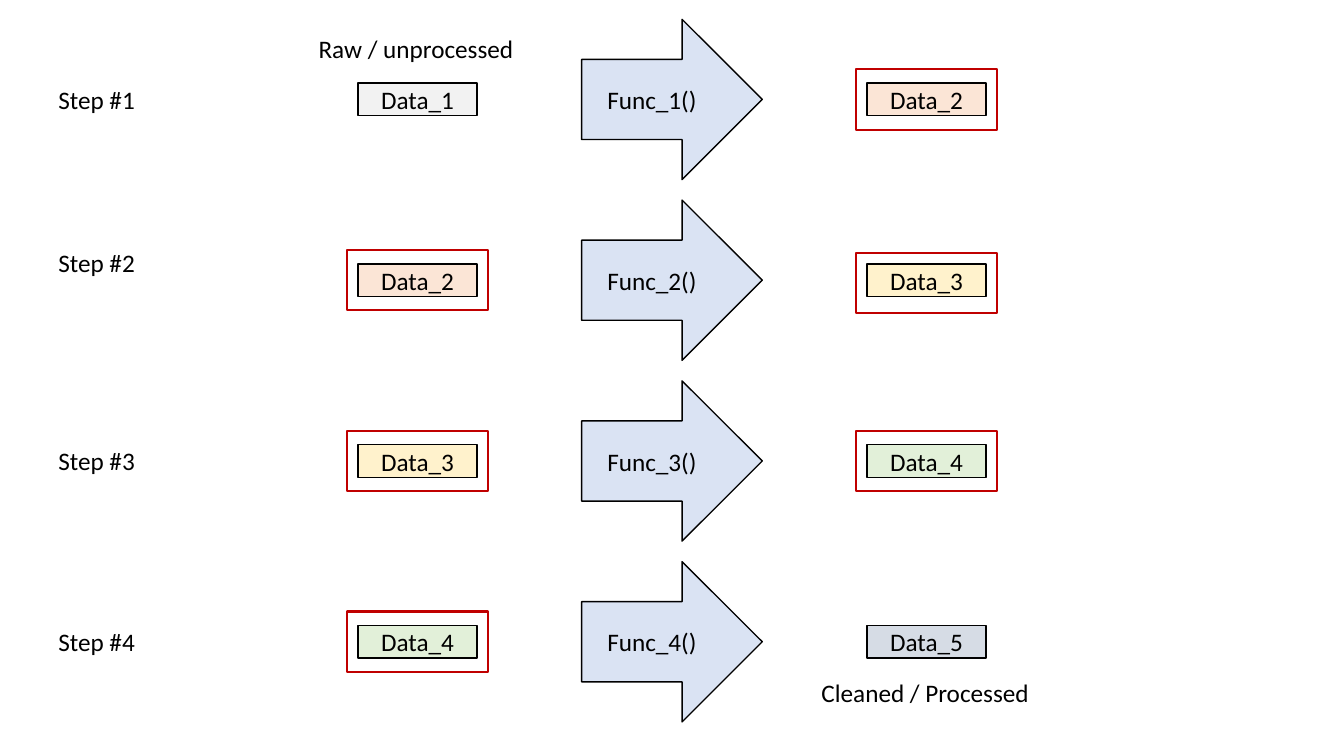
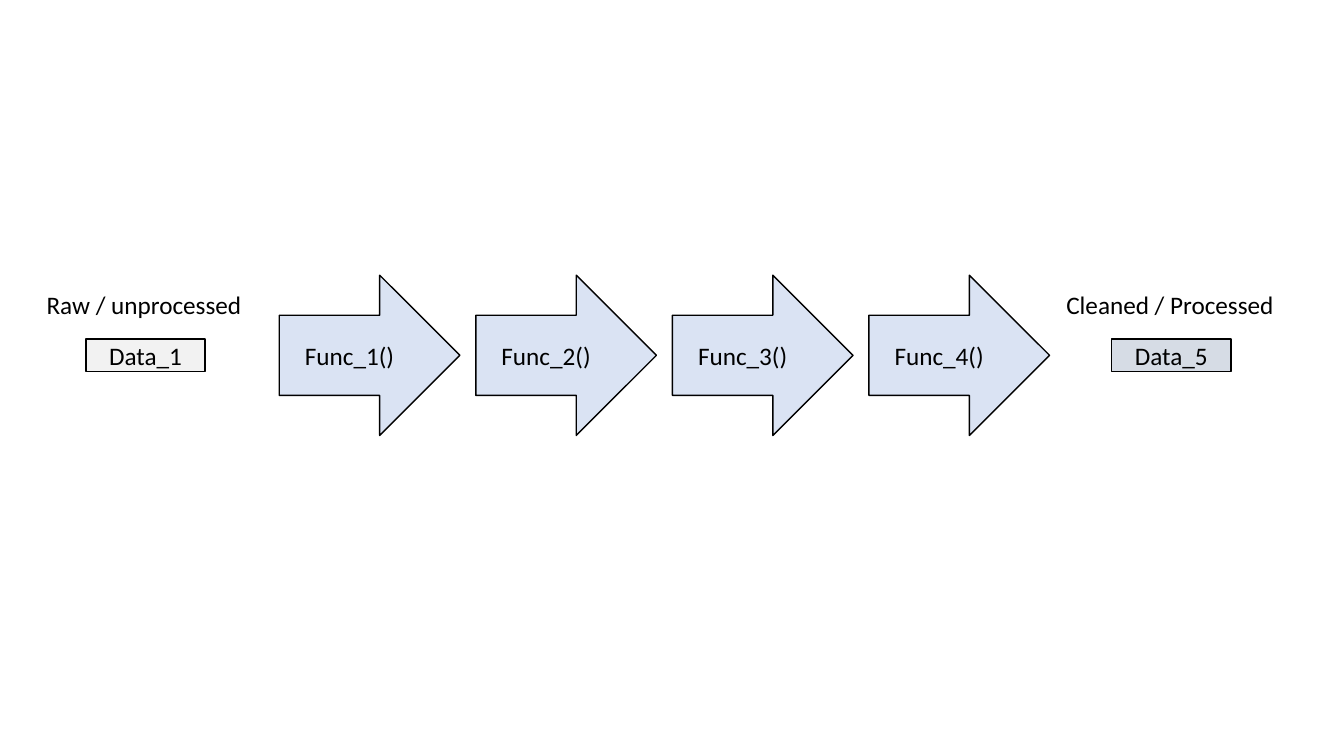
import dataclasses
import typing

import pptx
import pptx.dml.color
import pptx.enum.shapes
import pptx.enum.text
import pptx.shapes.autoshape
import pptx.shapes.shapetree
import pptx.slide
import pptx.util

RGBColor = pptx.dml.color.RGBColor
BLACK = RGBColor(0x00, 0x00, 0x00)
FRAME_RED = RGBColor(0xC0, 0x00, 0x00)
ARROW_BLUE = RGBColor(0xDA, 0xE3, 0xF3)
DATA_COLORS = (
    RGBColor(0xF2, 0xF2, 0xF2),
    RGBColor(0xFB, 0xE5, 0xD6),
    RGBColor(0xFF, 0xF2, 0xCC),
    RGBColor(0xE2, 0xF0, 0xD9),
    RGBColor(0xD6, 0xDC, 0xE5),
)

SLIDE_WIDTH = pptx.util.Inches(13.33)
SLIDE_HEIGHT = pptx.util.Inches(7.5)
GRID_COLUMNS = 80
GRID_ROWS = 45
FONT_NAME = "Calibri"
FONT_SIZE = pptx.util.Pt(18)
STEP_COUNT = 4
CAPTION_GAP = 3.03

Shapes = typing.Union[
    pptx.shapes.shapetree.SlideShapes, pptx.shapes.shapetree.GroupShapes
]


@dataclasses.dataclass(frozen=True)
class Size:
    columns: float
    rows: float


@dataclasses.dataclass(frozen=True)
class Center:
    column: float
    row: float

    def lowered(self, rows: float) -> "Center":
        return Center(self.column, self.row + rows)


@dataclasses.dataclass(frozen=True)
class Caption:
    text: str
    size: Size


@dataclasses.dataclass(frozen=True)
class Step:
    number: int
    label_shift: float = 0
    output_frame_shift: float = 0


DATA_SIZE = Size(7.1, 1.94)
ARROW_SIZE = Size(10.75, 9.54)
FRAME_SIZE = Size(8.4, 3.6)
LABEL_SIZE = Size(5.82, 2.42)
RAW_CAPTION = Caption("Raw / unprocessed", Size(12.96, 2.42))
CLEANED_CAPTION = Caption("Cleaned / Processed", Size(13.68, 2.42))

STEPS = (
    Step(1),
    Step(2, label_shift=-1.02, output_frame_shift=0.18),
    Step(3),
    Step(STEP_COUNT),
)


def grid_box(center: Center, size: Size) -> tuple[int, int, int, int]:
    column_width = SLIDE_WIDTH / GRID_COLUMNS
    row_height = SLIDE_HEIGHT / GRID_ROWS
    return (
        round((center.column - size.columns / 2) * column_width),
        round((center.row - size.rows / 2) * row_height),
        round(size.columns * column_width),
        round(size.rows * row_height),
    )


def write_text(
    text_frame: pptx.text.text.TextFrame,
    text: str,
    alignment: pptx.enum.text.PP_ALIGN,
) -> None:
    text_frame.text = text
    paragraph = text_frame.paragraphs[0]
    paragraph.alignment = alignment
    font = paragraph.runs[0].font
    font.name = FONT_NAME
    font.size = FONT_SIZE
    font.color.rgb = BLACK


def add_outlined(
    shapes: Shapes,
    kind: pptx.enum.shapes.MSO_SHAPE,
    center: Center,
    size: Size,
    line_color: RGBColor,
    line_points: float,
) -> pptx.shapes.autoshape.Shape:
    shape = shapes.add_shape(kind, *grid_box(center, size))
    shape.shadow.inherit = False
    shape.fill.background()
    shape.line.color.rgb = line_color
    shape.line.width = pptx.util.Pt(line_points)
    return shape


def add_block(
    shapes: Shapes,
    kind: pptx.enum.shapes.MSO_SHAPE,
    center: Center,
    size: Size,
    fill_color: RGBColor,
    text: str,
) -> None:
    shape = add_outlined(shapes, kind, center, size, BLACK, 1)
    shape.fill.solid()
    shape.fill.fore_color.rgb = fill_color
    shape.text_frame.vertical_anchor = pptx.enum.text.MSO_ANCHOR.MIDDLE
    write_text(shape.text_frame, text, pptx.enum.text.PP_ALIGN.CENTER)


def add_data(shapes: Shapes, number: int, center: Center) -> None:
    add_block(
        shapes,
        pptx.enum.shapes.MSO_SHAPE.RECTANGLE,
        center,
        DATA_SIZE,
        DATA_COLORS[number - 1],
        f"Data_{number}",
    )


def add_function(shapes: Shapes, number: int, center: Center) -> None:
    add_block(
        shapes,
        pptx.enum.shapes.MSO_SHAPE.RIGHT_ARROW,
        center,
        ARROW_SIZE,
        ARROW_BLUE,
        f"Func_{number}()",
    )


def add_frame(shapes: Shapes, center: Center) -> None:
    rectangle = pptx.enum.shapes.MSO_SHAPE.RECTANGLE
    add_outlined(shapes, rectangle, center, FRAME_SIZE, FRAME_RED, 1.5)


def add_label(shapes: Shapes, caption: Caption, center: Center) -> None:
    text_frame = shapes.add_textbox(*grid_box(center, caption.size)).text_frame
    text_frame.word_wrap = False
    text_frame.auto_size = pptx.enum.text.MSO_AUTO_SIZE.SHAPE_TO_FIT_TEXT
    write_text(text_frame, caption.text, pptx.enum.text.PP_ALIGN.LEFT)


def draw_steps(slide: pptx.slide.Slide) -> None:
    label_column = 5.79
    function_column = GRID_COLUMNS / 2
    data_offset = 15.15
    first_row = 5.92
    row_pitch = 10.76

    for index, step in enumerate(STEPS):
        function_center = Center(function_column, first_row + index * row_pitch)
        input_center = Center(function_column - data_offset, function_center.row)
        output_center = Center(function_column + data_offset, function_center.row)
        group_shapes = slide.shapes.add_group_shape().shapes
        add_data(group_shapes, step.number, input_center)
        add_function(group_shapes, step.number, function_center)
        add_data(group_shapes, step.number + 1, output_center)

        label_center = Center(label_column, function_center.row + step.label_shift)
        label = Caption(f"Step #{step.number}", LABEL_SIZE)
        add_label(slide.shapes, label, label_center)

        if step.number == 1:
            add_label(slide.shapes, RAW_CAPTION, input_center.lowered(-CAPTION_GAP))
        else:
            add_frame(slide.shapes, input_center)
        if step.number == STEP_COUNT:
            add_label(
                slide.shapes, CLEANED_CAPTION, output_center.lowered(CAPTION_GAP)
            )
        else:
            add_frame(slide.shapes, output_center.lowered(step.output_frame_shift))


def draw_pipeline(slide: pptx.slide.Slide) -> None:
    middle_row = 21.15
    first_function_column = 22
    function_pitch = 11.7
    ends = (
        (1, RAW_CAPTION, Center(8.66, middle_row)),
        (STEP_COUNT + 1, CLEANED_CAPTION, Center(69.72, middle_row)),
    )

    for number, caption, center in ends:
        add_data(slide.shapes, number, center)
        add_label(slide.shapes, caption, center.lowered(-CAPTION_GAP))
    for index, step in enumerate(STEPS):
        column = first_function_column + index * function_pitch
        add_function(slide.shapes, step.number, Center(column, middle_row))


def main() -> None:
    presentation = pptx.Presentation()
    presentation.slide_width = SLIDE_WIDTH
    presentation.slide_height = SLIDE_HEIGHT
    blank_layout = presentation.slide_layouts[6]
    for draw in (draw_steps, draw_pipeline):
        draw(presentation.slides.add_slide(blank_layout))
    presentation.save("out.pptx")


main()
